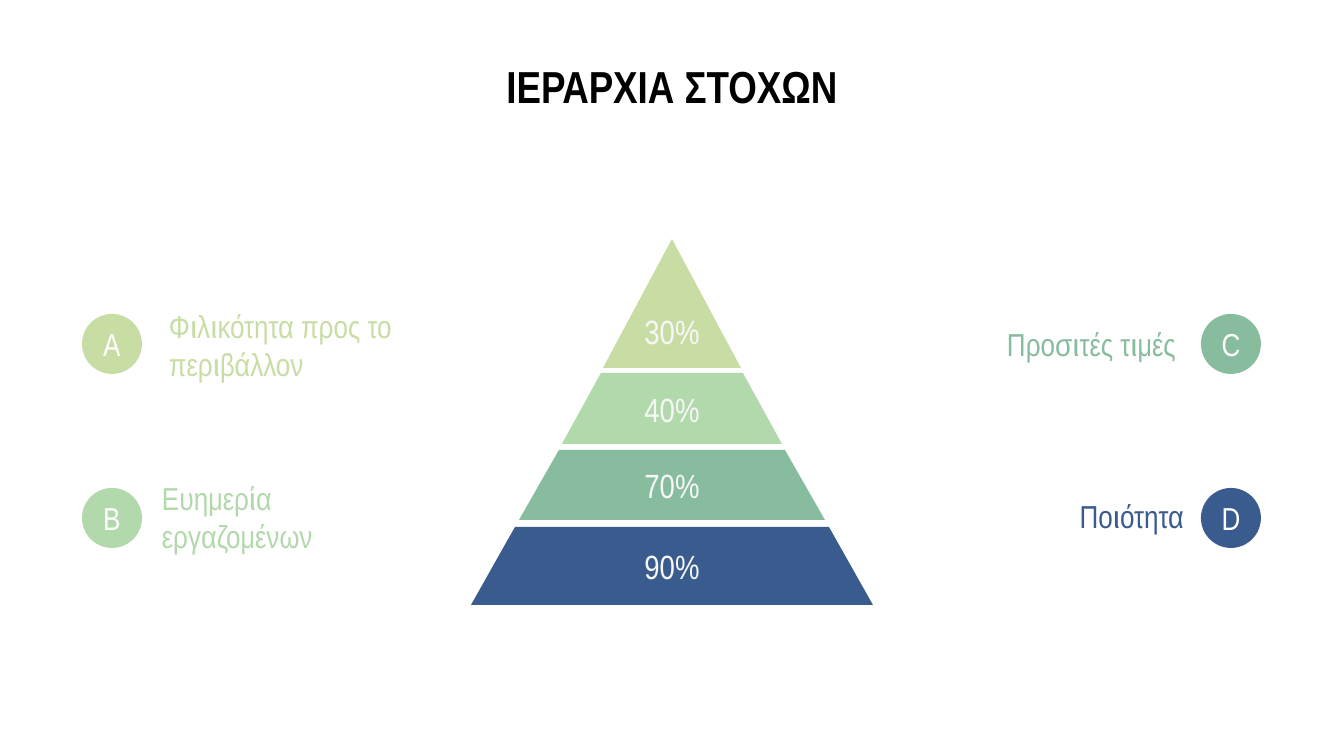
from dataclasses import dataclass

from pptx import Presentation
from pptx.dml.color import RGBColor
from pptx.enum.shapes import MSO_SHAPE as Preset
from pptx.enum.text import MSO_ANCHOR as Anchor, PP_ALIGN as Align
from pptx.shapes.autoshape import Shape
from pptx.slide import Slide
from pptx.util import Pt

PX = 914400 / 134.4
CENTER = 672
FONT = "Arial Narrow"
BADGE = 60
INSET = 13
LABEL_W, LABEL_H = 276, 63
SHARE_W = 126


@dataclass(frozen=True)
class Tier:
    top: int
    bottom: int
    half_top: int
    half_bottom: int
    share_top: int
    share: str
    color: str


@dataclass(frozen=True)
class Goal:
    letter: str
    label: str
    badge_left: int
    badge_top: int
    label_left: int
    label_top: int
    align: Align
    color: str


LIME, MINT, SAGE, NAVY = "C8DDA4", "B2D9AB", "87BC9E", "395B8E"

TIERS = [
    Tier(239, 368, 0, 69, 300, "30%", LIME),
    Tier(373, 444, 71, 110, 378, "40%", MINT),
    Tier(450, 520, 113, 153, 454, "70%", SAGE),
    Tier(527, 605, 157, 201, 535, "90%", NAVY),
]

GOALS = [
    Goal("A", "Φιλικότητα προς το περιβάλλον", 82, 314, 156, 313, Align.LEFT, LIME),
    Goal("B", "Ευημερία εργαζομένων", 82, 488, 149, 485, Align.LEFT, MINT),
    Goal("C", "Προσιτές τιμές", 1201, 314, 913, 312, Align.RIGHT, SAGE),
    Goal("D", "Ποιότητα", 1201, 488, 921, 484, Align.RIGHT, NAVY),
]


def emu(*lengths: int) -> list[int]:
    return [round(length * PX) for length in lengths]


def rgb(color: str) -> RGBColor:
    return RGBColor.from_string(color)


def paint(shape: Shape, color: str) -> None:
    shape.shadow.inherit = False
    shape.fill.solid()
    shape.fill.fore_color.rgb = rgb(color)
    shape.line.fill.background()


def write(shape: Shape, text: str, size: int, color: str, align: Align,
          anchor: Anchor = Anchor.MIDDLE, bold: bool = False, side: int = INSET) -> None:
    frame = shape.text_frame
    inset, side_inset = emu(INSET, side)
    frame_format = {
        "word_wrap": True, "vertical_anchor": anchor,
        "margin_top": inset, "margin_bottom": inset,
        "margin_left": side_inset, "margin_right": side_inset,
    }
    for name, value in frame_format.items():
        setattr(frame, name, value)
    paragraph = frame.paragraphs[0]
    paragraph.alignment = align
    run = paragraph.add_run()
    run.text = text
    for name, value in {"name": FONT, "size": Pt(size), "bold": bold}.items():
        setattr(run.font, name, value)
    run.font.color.rgb = rgb(color)


def draw_title(slide: Slide, text: str) -> None:
    title = slide.shapes.add_textbox(*emu(26, 46, 1292, 85))
    write(title, text, 24, "000000", Align.CENTER, Anchor.TOP, bold=True)


def draw_tier(slide: Slide, tier: Tier) -> None:
    left, *others = [
        (CENTER - tier.half_top, tier.top),
        (CENTER - tier.half_bottom, tier.bottom),
        (CENTER + tier.half_bottom, tier.bottom),
        (CENTER + tier.half_top, tier.top),
    ]
    outline = slide.shapes.build_freeform(*left, scale=PX)
    outline.add_line_segments(others, close=True)
    paint(outline.convert_to_shape(), tier.color)
    share = slide.shapes.add_textbox(
        *emu(CENTER - SHARE_W // 2, tier.share_top, SHARE_W, LABEL_H))
    write(share, tier.share, 18, "F7F7F7", Align.CENTER)


def draw_goal(slide: Slide, goal: Goal) -> None:
    label = slide.shapes.add_textbox(
        *emu(goal.label_left, goal.label_top, LABEL_W, LABEL_H))
    write(label, goal.label, 17, goal.color, goal.align)
    badge = slide.shapes.add_shape(
        Preset.OVAL, *emu(goal.badge_left, goal.badge_top, BADGE, BADGE))
    paint(badge, goal.color)
    write(badge, goal.letter, 17, "FFFFFF", Align.CENTER, side=0)


def main() -> None:
    deck = Presentation()
    deck.slide_width, deck.slide_height = emu(1344, 756)
    slide = deck.slides.add_slide(deck.slide_layouts[6])
    draw_title(slide, "ΙΕΡΑΡΧΙΑ ΣΤΟΧΩΝ")
    for tier in TIERS:
        draw_tier(slide, tier)
    for goal in GOALS:
        draw_goal(slide, goal)
    deck.save("out.pptx")


if __name__ == "__main__":
    main()
